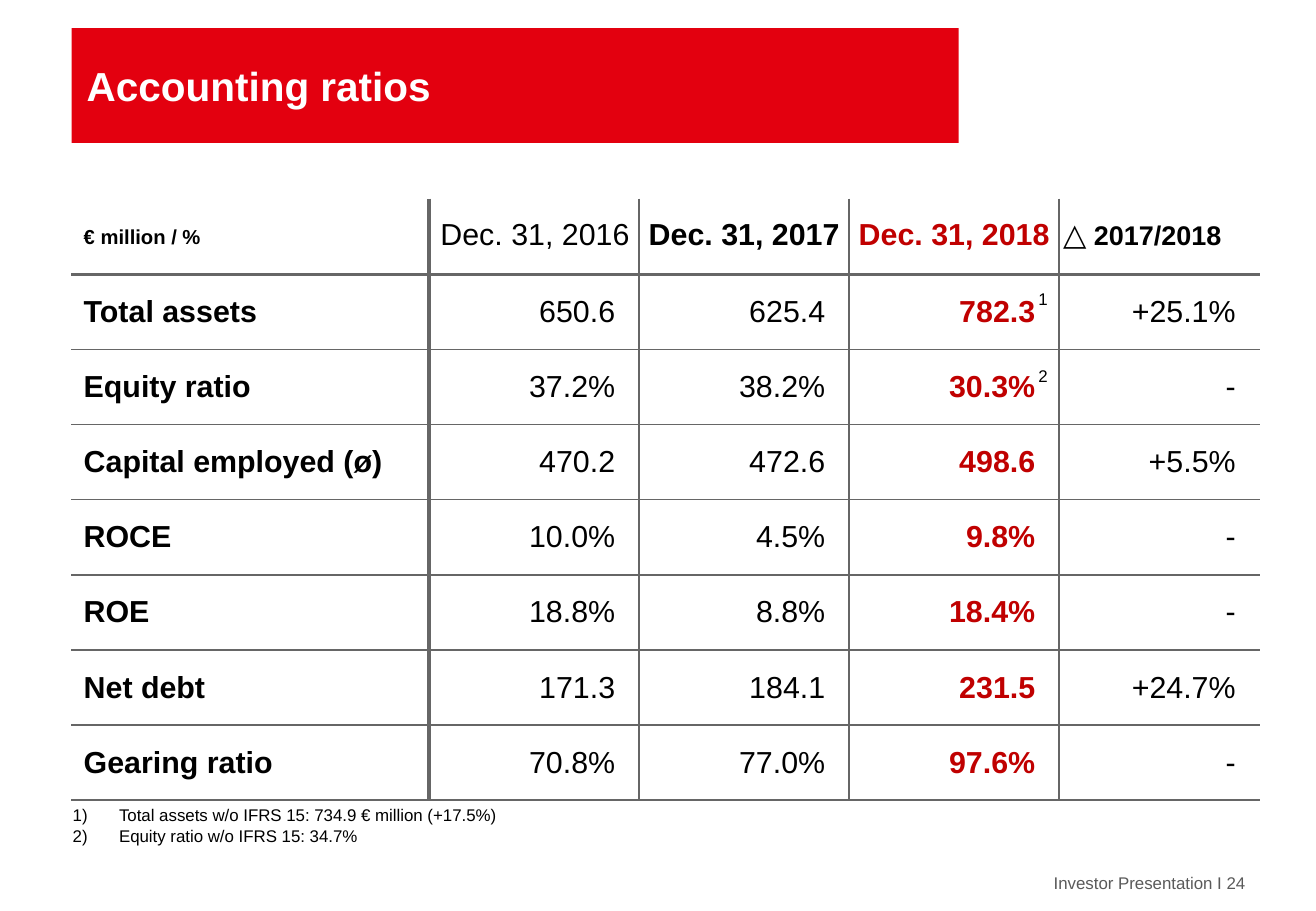
from lxml.etree import SubElement
from pptx import Presentation
from pptx.dml.color import RGBColor
from pptx.enum.shapes import MSO_SHAPE
from pptx.enum.text import MSO_ANCHOR, PP_ALIGN
from pptx.oxml.ns import qn
from pptx.util import Cm, Pt

COLORS = {
    "banner": "E3000F",
    "white": "FFFFFF",
    "black": "000000",
    "current": "C00000",
    "rule": "666666",
    "footer": "5A5A5A",
}


def add_span(para, text, size, color="black", bold=False):
    span = para.add_run()
    span.text = text
    span.font.name = "Arial"
    span.font.size = Pt(size)
    span.font.bold = bold
    span.font.color.rgb = RGBColor.from_string(COLORS[color])


def add_border(cell, side, width):
    """Draw one cell edge; side is L, R, T or B."""
    line = SubElement(cell._tc.get_or_add_tcPr(), qn(f"a:ln{side}"), w=str(Pt(width)))
    fill = SubElement(line, qn("a:solidFill"))
    SubElement(fill, qn("a:srgbClr"), val=COLORS["rule"])


deck = Presentation()
deck.slide_width, deck.slide_height = Cm(27.51), Cm(19.05)
page = deck.slides.add_slide(deck.slide_layouts[5])

# Title on its red banner
banner = page.shapes.add_shape(MSO_SHAPE.RECTANGLE, Cm(1.5), Cm(0.59), Cm(18.54), Cm(2.4))
banner.shadow.inherit = False
banner.fill.solid()
banner.fill.fore_color.rgb = RGBColor.from_string(COLORS["banner"])
banner.line.fill.background()
page.shapes._spTree.insert(2, banner._element)

title = page.shapes.title
title.left, title.top, title.width, title.height = Cm(1.81), Cm(0.59), Cm(17.93), Cm(2.4)
frame = title.text_frame
frame.margin_left = frame.margin_right = frame.margin_top = frame.margin_bottom = 0
frame.vertical_anchor = MSO_ANCHOR.MIDDLE
frame.paragraphs[0].alignment = PP_ALIGN.LEFT
add_span(frame.paragraphs[0], "Accounting ratios", 24, "white", True)

# Ratio table
ROWS = [
    ("€ million / %", "Dec. 31, 2016", "Dec. 31, 2017", "Dec. 31, 2018", "△"),
    ("Total assets", "650.6", "625.4", "782.3", "+25.1%"),
    ("Equity ratio", "37.2%", "38.2%", "30.3%", "-"),
    ("Capital employed (ø)", "470.2", "472.6", "498.6", "+5.5%"),
    ("ROCE", "10.0%", "4.5%", "9.8%", "-"),
    ("ROE", "18.8%", "8.8%", "18.4%", "-"),
    ("Net debt", "171.3", "184.1", "231.5", "+24.7%"),
    ("Gearing ratio", "70.8%", "77.0%", "97.6%", "-"),
]
COLUMN_WIDTHS = [7.47, 4.39, 4.39, 4.39, 4.19]
LABEL, CURRENT, CHANGE = 0, 3, 4
THIN, THICK = 1, 2.25

table = page.shapes.add_table(
    len(ROWS), len(COLUMN_WIDTHS), Cm(1.5), Cm(4.17), Cm(24.83), Cm(12.56)
).table
table.first_row = table.horz_banding = False
for column, width in zip(table.columns, COLUMN_WIDTHS):
    column.width = Cm(width)

for r, texts in enumerate(ROWS):
    table.rows[r].height = Cm(1.57)
    header = r == 0
    for c, text in enumerate(texts):
        cell = table.cell(r, c)
        if c > LABEL:
            add_border(cell, "L", THICK if c == 1 else THIN)
        if c < CHANGE:
            add_border(cell, "R", THICK if c == LABEL else THIN)
        if not header:
            add_border(cell, "T", THICK if r == 1 else THIN)
        add_border(cell, "B", THICK if header else THIN)
        cell.fill.background()

        cell.vertical_anchor = MSO_ANCHOR.MIDDLE
        cell.margin_left = cell.margin_top = cell.margin_bottom = 0
        para = cell.text_frame.paragraphs[0]
        if c == LABEL:
            cell.margin_left = cell.margin_right = Cm(0.25)
        else:
            para.alignment = PP_ALIGN.RIGHT
            cell.margin_right = Cm(0.2 if header else 0.5)
            if header:
                cell.margin_bottom = Cm(0.1)

        size = 12 if header and c == LABEL else 18
        bold = c in (LABEL, CURRENT) or (header and c > 1)
        add_span(para, text, size, "current" if c == CURRENT else "black", bold)
        if header and c == CHANGE:
            cell.margin_right = Cm(0.8)
            add_span(para, " 2017/2018", 16, bold=True)

# Footnotes and their marks
notes = page.shapes.add_textbox(Cm(1.27), Cm(16.71), Cm(9.8), Cm(1.12)).text_frame
notes.word_wrap = True
NOTES = [
    "Total assets w/o IFRS 15: 734.9 € million (+17.5%)",
    "Equity ratio w/o IFRS 15: 34.7%",
]
for i, note in enumerate(NOTES):
    para = notes.add_paragraph() if i else notes.paragraphs[0]
    properties = para._p.get_or_add_pPr()
    properties.set("marL", str(Cm(0.97)))
    properties.set("indent", str(Cm(-0.97)))
    SubElement(properties, qn("a:buFont"), typeface="+mj-lt")
    SubElement(properties, qn("a:buAutoNum"), type="arabicParenR")
    add_span(para, note, 10)

    mark = page.shapes.add_textbox(Cm(21.46), Cm(5.92 + 1.6 * i), Cm(0.71), Cm(0.69))
    add_span(mark.text_frame.paragraphs[0], str(i + 1), 10)

# Footer
footer = page.shapes.add_textbox(Cm(21.23), Cm(18.24), Cm(4.8), Cm(0.51)).text_frame
footer.word_wrap = True
footer.margin_left = footer.margin_right = footer.margin_top = footer.margin_bottom = 0
footer.paragraphs[0].alignment = PP_ALIGN.RIGHT
add_span(footer.paragraphs[0], "Investor Presentation I 24", 10, "footer")

deck.save("out.pptx")
